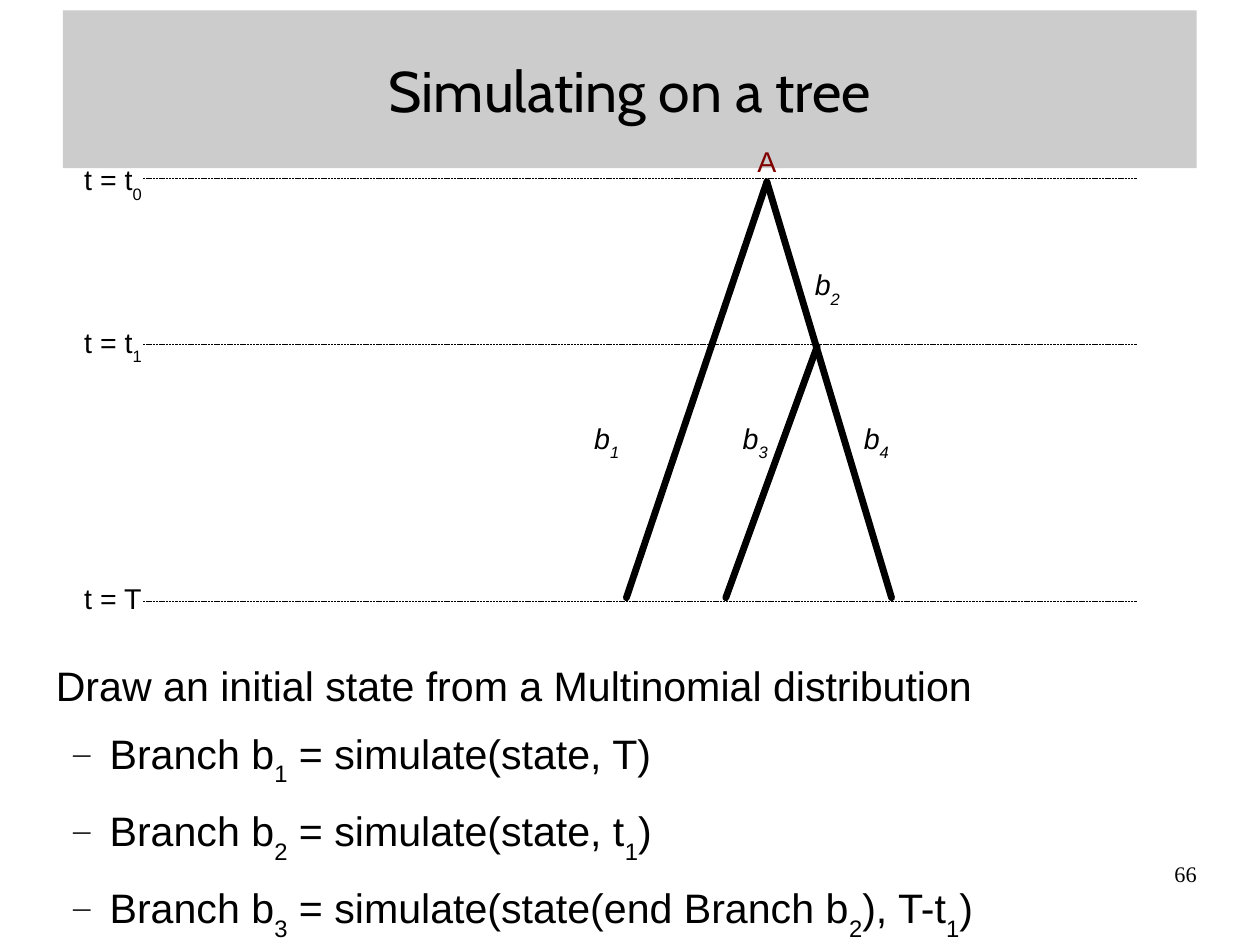
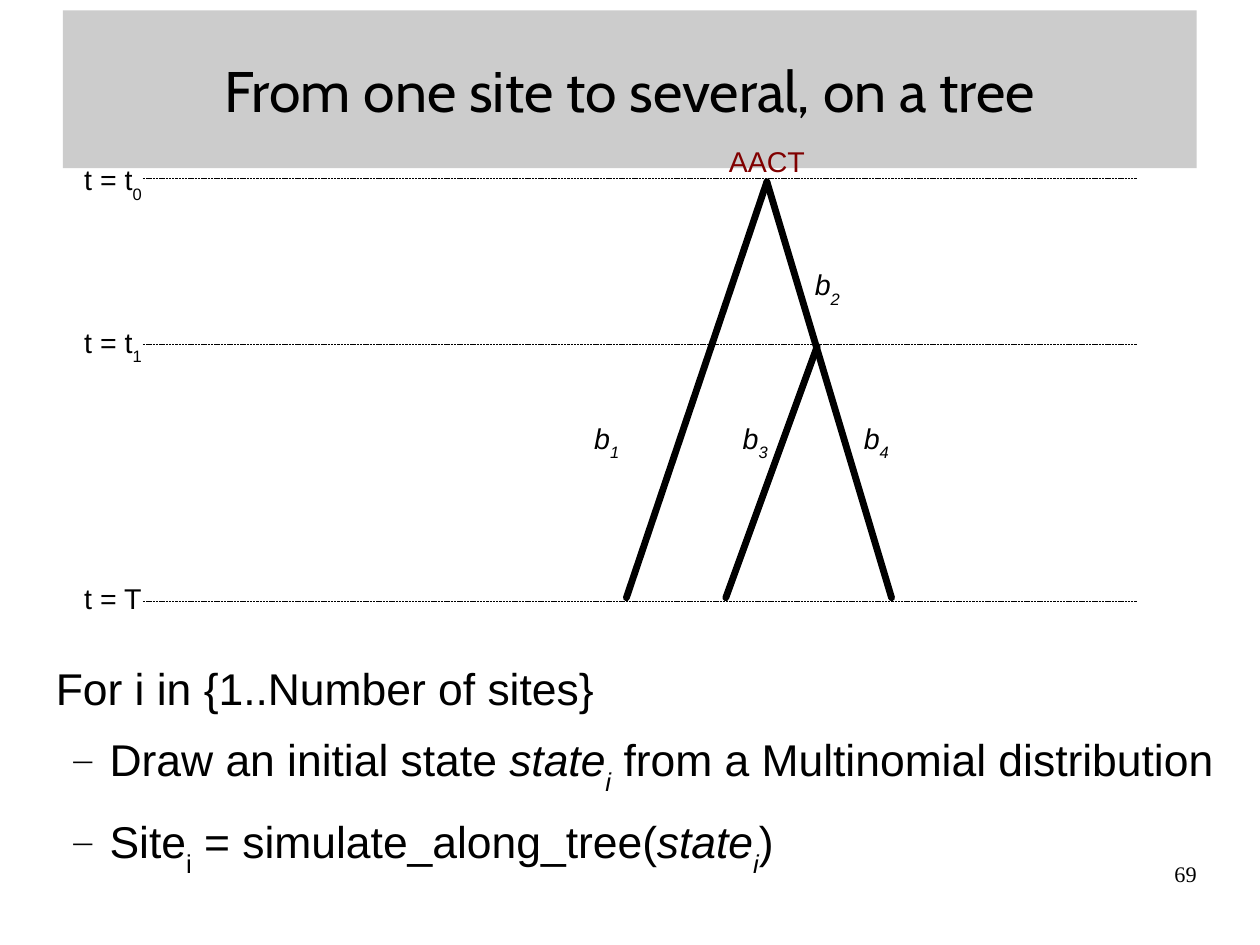
from dataclasses import dataclass
from pptx import Presentation
from pptx.dml.color import RGBColor as Rgb
from pptx.enum.dml import MSO_LINE as Dash
from pptx.enum.shapes import MSO_CONNECTOR as Conn, MSO_SHAPE as Kind
from pptx.enum.text import MSO_ANCHOR as Anchor, PP_ALIGN as Align
from pptx.oxml.ns import qn
from pptx.util import Pt
from lxml.etree import SubElement as Sub


@dataclass(frozen=True)
class Theme:
    ink: str = "000000"
    band: str = "CCCCCC"
    root: str = "800000"
    head: str = "Cabin"
    text: str = "Arial"
    num: str = "Times New Roman"
    big: float = 36
    label: float = 18
    small: float = 14
    limb: float = 4.31
    rule: float = 0.5


T = Theme()
WIDE, HIGH = 793.7, 595.28

# Boxes are left, top, width, height
BAND = (39.6, 6.5, 714.25, 99.4)
TREE = (46, 112.3, 670.4, 266.4)
BODY = (1.4, 416.2, 777.6, 172.8)
PAGE = (568.8, 542.2, 185.05, 41)


def put(obj, vals):
    for key, val in vals.items():
        setattr(obj, key, val)


def write(par, runs, size, font=T.text, color=T.ink, style=""):
    """Runs are strings, or pairs of text and marks: s subscript, i italic."""
    for item in runs:
        text, marks = (item, "") if isinstance(item, str) else item
        marks += style
        run = par.add_run()
        run.text = text
        put(run.font, {"size": Pt(size), "name": font, "italic": "i" in marks})
        run.font.color.rgb = Rgb.from_string(color)
        if "s" in marks:
            run.font._element.set("baseline", "-33000")


def setup(shape, pad=(0, 0), wrap=True, anchor=Anchor.TOP):
    frame = shape.text_frame
    side, edge = map(Pt, pad)
    put(frame, {"margin_left": side, "margin_right": side,
                "margin_top": edge, "margin_bottom": edge,
                "word_wrap": wrap, "vertical_anchor": anchor})
    return frame


def area(slide, box, **opts):
    return setup(slide.shapes.add_textbox(*map(Pt, box)), **opts)


def label(slide, box, runs, align=Align.LEFT, **look):
    par = area(slide, box, pad=(7.2, 3.6), wrap=False).paragraphs[0]
    par.alignment = align
    write(par, runs, T.label, **look)


def line(slide, start, end, width, dash=None):
    link = slide.shapes.add_connector(Conn.STRAIGHT, *map(Pt, (*start, *end)))
    put(link.line, {"width": Pt(width), "dash_style": dash})
    link.line.color.rgb = Rgb.from_string(T.ink)
    if not dash:
        link.line._get_or_add_ln().set("cap", "rnd")
    Sub(link._element.spPr, qn("a:effectLst"))


def title(slide, box, text):
    band = slide.shapes.add_shape(Kind.RECTANGLE, *map(Pt, box))
    band.shadow.inherit = False
    band.fill.solid()
    band.fill.fore_color.rgb = Rgb.from_string(T.band)
    band.line.fill.background()
    par = setup(band, anchor=Anchor.MIDDLE).paragraphs[0]
    par.alignment = Align.CENTER
    write(par, [text], T.big, T.head)


def tree(slide, box, state):
    left, top, width, high = box

    def at(x, y):
        return left + x, top + y

    # Time levels: label runs, label top, line height
    times = [(["t = t", ("0", "s")], -13.7, 0),
             (["t = t", ("1", "s")], 88.6, 104.4),
             (["t = T"], 249.9, high)]
    for runs, head, y in times:
        line(slide, at(44, y), at(width, y), T.rule, Dash.SQUARE_DOT)
        label(slide, (*at(0, head), 52, 30), runs)

    # Branches
    root, fork, foot = (437.1, 2.2), (468.8, 105.9), high - 2.2
    for start, end in [(root, (348.6, foot)), (fork, (411.2, foot)),
                       (root, (515.6, foot))]:
        line(slide, at(*start), at(*end), T.limb)

    # Branch names
    for num, x, y in [("1", 321.2, 149.1), ("2", 460.2, 52.6),
                      ("3", 414.8, 149.1), ("4", 491.1, 149.1)]:
        label(slide, (*at(x, y), 36, 31.7), ["b", (num, "s")], style="i")

    # State at the root
    label(slide, (*at(root[0] - 36, -25.2), 72, 27.4), [state],
          Align.CENTER, color=T.root)


def bullet(par):
    prop = par._p.get_or_add_pPr()
    put(par, {"space_before": Pt(11.3), "level": 1})
    prop.set("marL", str(Pt(67.7)))
    prop.set("indent", str(Pt(-25.2)))
    Sub(Sub(prop, qn("a:buClr")), qn("a:srgbClr"), val=T.ink)
    Sub(prop, qn("a:buSzPct"), val="75000")
    Sub(prop, qn("a:buChar"), char="−")


def body(slide, box, lead, items, size):
    frame = area(slide, box)
    par = frame.paragraphs[0]
    par._p.get_or_add_pPr().set("marL", str(Pt(33.8)))
    write(par, [lead], size)
    for runs in items:
        par = frame.add_paragraph()
        bullet(par)
        write(par, runs, size)


def page(slide, box, num):
    par = area(slide, box).paragraphs[0]
    par.alignment = Align.RIGHT
    write(par, [num], T.small, T.num)


SLIDES = [
    {"title": "Simulating on a tree", "state": "A", "page": "66", "size": 25.9,
     "lead": "Draw an initial state from a Multinomial distribution",
     "items": [
         ["Branch b", ("1", "s"), " = simulate(state, T)"],
         ["Branch b", ("2", "s"), " = simulate(state, t", ("1", "s"), ")"],
         ["Branch b", ("3", "s"), " = simulate(state(end Branch b",
          ("2", "s"), "), T-t", ("1", "s"), ")"]]},
    {"title": "From one site to several, on a tree", "state": "AACT",
     "page": "69", "size": 28,
     "lead": "For i in {1..Number of sites}",
     "items": [
         ["Draw an initial state ", ("state", "i"), ("i", "si"),
          " from a Multinomial distribution"],
         ["Site", ("i", "s"), " = simulate_along_tree(", ("state", "i"),
          ("i", "si"), ")"]]},
]


def main():
    deck = Presentation()
    put(deck, {"slide_width": Pt(WIDE), "slide_height": Pt(HIGH)})
    for data in SLIDES:
        slide = deck.slides.add_slide(deck.slide_layouts[6])
        title(slide, BAND, data["title"])
        body(slide, BODY, data["lead"], data["items"], data["size"])
        tree(slide, TREE, data["state"])
        page(slide, PAGE, data["page"])
    deck.save("out.pptx")


if __name__ == "__main__":
    main()
